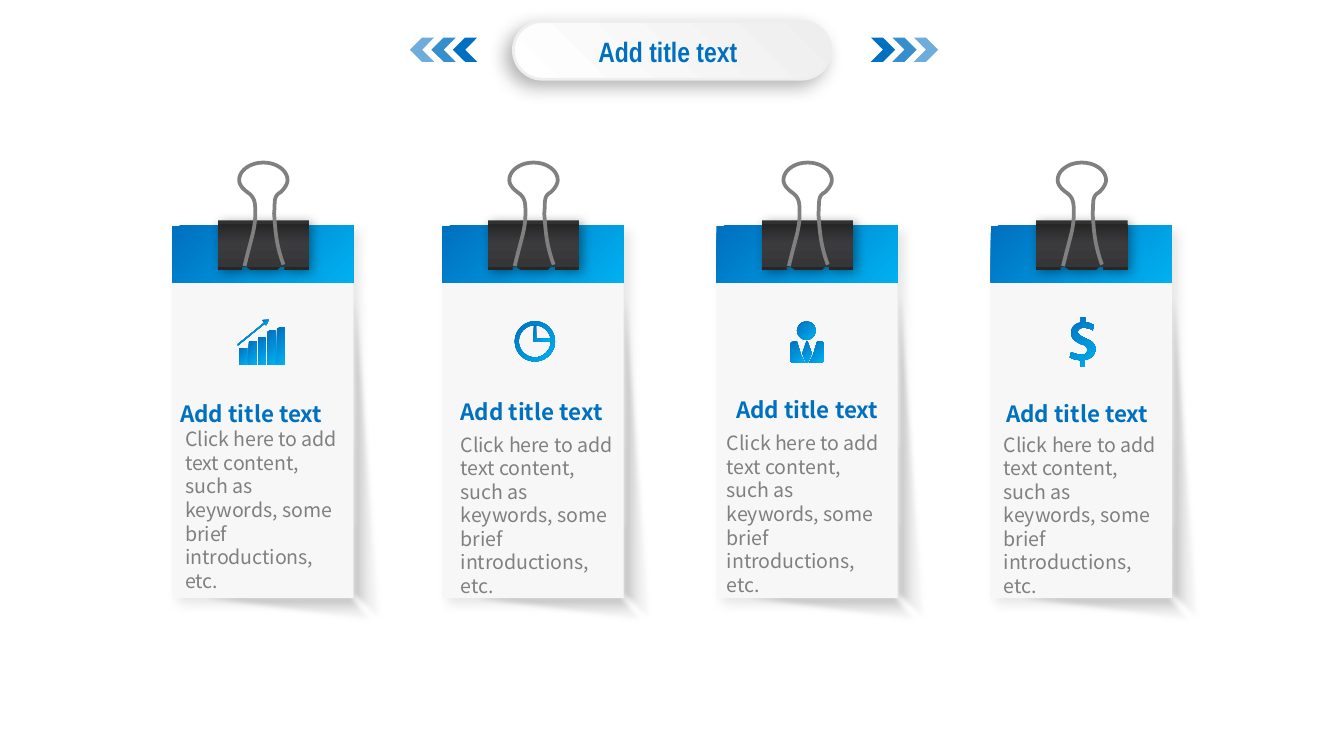
import dataclasses

import pptx
import pptx.dml.color
import pptx.enum.shapes
import pptx.enum.text
import pptx.oxml
import pptx.oxml.ns
import pptx.util

Inches = pptx.util.Inches
Pt = pptx.util.Pt
MSO = pptx.enum.shapes.MSO_SHAPE
ALIGN = pptx.enum.text.PP_ALIGN


@dataclasses.dataclass(frozen=True)
class Theme:
    blue: str = "0070C0"
    gray: str = "808080"
    paper: str = "F7F7F7"
    rim: str = "EEEEEE"
    title_font: str = "Arial Narrow"
    card_font: str = "Noto Sans CJK SC"
    title_size: float = 15
    heading_size: float = 12
    body_size: float = 10.5
    # Gradient stops: position, colour, opacity
    accent: tuple = ((0, "0070C0", 100), (100, "00B0F0", 100))
    pill: tuple = ((0, "EEEEEE", 100), (100, "FFFFFF", 100))
    cast: tuple = ((0, "F3F3F3", 12), (100, "808080", 44))
    clip: tuple = ((7, "313132", 100), (7, "262626", 100), (46, "3B3B3D", 100),
                   (93, "363638", 100), (93, "262626", 100))


@dataclasses.dataclass(frozen=True)
class Box:
    left: float
    top: float
    width: float = 0
    height: float = 0

    def inner(self, x, y, width=0, height=0):
        return Box(self.left + x, self.top + y, width, height)

    def emu(self):
        return [Inches(v) for v in (self.left, self.top, self.width, self.height)]


THEME = Theme()
BODY = "Click here to add text content, such as keywords, some brief introductions, etc."

# Outlines in inches: a pair is a corner, six numbers are a Bezier curve
CLIP = [(0, 0), (.68, 0), (.68, .37), (.5, .37), (.5, .34), (.47, .34), (.44, .37),
        (.25, .37), (.21, .34), (.18, .34), (.18, .37), (0, .37)]
WIRE = [(.04, .77), (.09, .56, .12, .5, .12, .38), (.12, .3, .12, .26, .06, .22),
        (.02, .19, 0, .16, 0, .13), (0, .06, .08, 0, .18, 0), (.28, 0, .36, .06, .36, .13),
        (.36, .16, .34, .19, .31, .22), (.25, .25, .27, .3, .26, .38),
        (.27, .49, .27, .6, .33, .76)]
DOLLAR = [(.08, .37), (.08, .32), (.05, .32, .02, .31, 0, .3), (.01, .26),
          (.03, .27, .06, .28, .09, .28), (.11, .28, .13, .27, .13, .25),
          (.13, .22, .12, .21, .08, .2), (.04, .18, .01, .16, .01, .12),
          (.01, .08, .03, .05, .08, .04), (.08, 0), (.12, 0), (.12, .04),
          (.15, .04, .16, .05, .18, .06), (.17, .1), (.16, .09, .14, .08, .1, .08),
          (.07, .08, .06, .1, .06, .11), (.06, .13, .08, .14, .12, .16),
          (.17, .18, .19, .2, .19, .24), (.19, .28, .16, .31, .11, .32), (.11, .37)]
HANDS = [(.02, .1), (.02, 0), (0, 0), (0, .12), (.12, .12), (.12, .1)]
TIE = [(.03, .16), (0, .09), (.03, 0), (.04, 0), (.07, .09), (.04, .16)]
JACKET = [(.08, 0), (.06, 0), (.03, .1), (0, .16), (.08, .16),
          (.1, .16, .11, .15, .11, .14), (.11, .02), (.11, .01, .1, 0, .08, 0)]


def paint(shape, stops, angle=0):
    """Fill with one stop as a solid colour, or with several as a gradient."""
    colors = [f'<a:srgbClr val="{c}"><a:alpha val="{a * 1000}"/></a:srgbClr>'
              for _, c, a in stops]
    ns = pptx.oxml.ns.nsdecls("a")
    if len(stops) == 1:
        xml = f"<a:solidFill {ns}>{colors[0]}</a:solidFill>"
    else:
        marks = "".join(f'<a:gs pos="{s[0] * 1000}">{c}</a:gs>' for s, c in zip(stops, colors))
        xml = (f'<a:gradFill {ns} rotWithShape="1"><a:gsLst>{marks}</a:gsLst>'
               f'<a:lin ang="{angle * 60000}" scaled="0"/></a:gradFill>')
    shape.fill.background()
    props = shape._element.spPr
    props.replace(props.find(pptx.oxml.ns.qn("a:noFill")), pptx.oxml.parse_xml(xml))


def add_effect(shape, xml):
    effects = shape._element.spPr.find(pptx.oxml.ns.qn("a:effectLst"))
    effects.append(pptx.oxml.parse_xml(xml))


def add_shadow(shape, opacity, blur, distance, angle):
    add_effect(shape, f'<a:outerShdw {pptx.oxml.ns.nsdecls("a")} blurRad="{blur * 12700}" '
               f'dist="{distance * 12700}" dir="{angle * 60000}" algn="ctr" rotWithShape="0">'
               f'<a:srgbClr val="000000"><a:alpha val="{opacity * 1000}"/></a:srgbClr>'
               '</a:outerShdw>')


def add_preset(shapes, kind, box, stops, angle=0):
    shape = shapes.add_shape(kind, *box.emu())
    shape.shadow.inherit = False
    shape.line.fill.background()
    paint(shape, stops, angle)
    return shape


def add_outline(shapes, box, steps, stops=None, angle=0, mirror=None):
    """Draw an outline from the box corner; mirror is the width to flip across."""
    points = [steps[0]]
    for step in steps[1:]:
        if len(step) == 2:
            points.append(step)
            continue
        curve = (points[-1], step[:2], step[2:4], step[4:])
        for t in (i / 10 for i in range(1, 11)):
            weights = ((1 - t) ** 3, 3 * t * (1 - t) ** 2, 3 * t * t * (1 - t), t ** 3)
            points.append(tuple(sum(w * p[k] for w, p in zip(weights, curve)) for k in (0, 1)))
    if mirror:
        points = [(mirror - x, y) for x, y in points]
    places = [(Inches(box.left + x), Inches(box.top + y)) for x, y in points]
    builder = shapes.build_freeform(*places[0])
    builder.add_line_segments(places[1:], close=stops is not None)
    shape = builder.convert_to_shape()
    shape.shadow.inherit = False
    shape.line.fill.background()
    if stops:
        paint(shape, stops, angle)
    else:
        shape.fill.background()
    return shape


def write(holder, text, font, size, color, bold=False, align=ALIGN.LEFT, inset=(.1, .05),
          leading=None):
    frame = holder.text_frame
    frame.word_wrap = True
    frame.auto_size = pptx.enum.text.MSO_AUTO_SIZE.SHAPE_TO_FIT_TEXT
    frame.vertical_anchor = pptx.enum.text.MSO_ANCHOR.TOP
    frame.margin_left = frame.margin_right = Inches(inset[0])
    frame.margin_top = frame.margin_bottom = Inches(inset[1])
    frame.text = text
    line = frame.paragraphs[0]
    line.alignment = align
    if leading:
        line.line_spacing = Pt(leading)
    line.font.name, line.font.size, line.font.bold = font, Pt(size), bold
    line.font.color.rgb = pptx.dml.color.RGBColor.from_string(color)


def set_line(shape, color, width):
    shape.line.color.rgb = pptx.dml.color.RGBColor.from_string(color)
    shape.line.width = Pt(width)


def add_chevrons(slide, box, direction):
    group = slide.shapes.add_group_shape().shapes
    for i, opacity in enumerate((100, 79, 57)):
        place = box.inner(direction * i * .16, 0, box.width, box.height)
        chevron = add_preset(group, MSO.CHEVRON, place, [(0, THEME.blue, opacity)])
        chevron.rotation = 0 if direction > 0 else 180


def add_header(slide, box):
    pill = add_preset(slide.shapes, MSO.ROUNDED_RECTANGLE, box, THEME.pill, 135)
    pill.adjustments[0] = .5
    set_line(pill, THEME.rim, 1.5)
    add_shadow(pill, 30, 10, 5, 135)
    add_chevrons(slide, box.inner(2.66, .12, .18, .18), 1)
    add_chevrons(slide, box.inner(-.45, .12, .18, .18), -1)
    title = slide.shapes.title
    title.left, title.top, title.width, title.height = box.inner(.29, .07, 1.72, .31).emu()
    write(title, "Add title text", THEME.title_font, THEME.title_size, THEME.blue,
          bold=True, align=ALIGN.CENTER, inset=(.06, .03))
    pill._element.addnext(title._element)  # title sits in front of the pill


def add_card(slide, box, heading_box, body_box):
    group = slide.shapes.add_group_shape().shapes
    # Cast shadows on the right and below
    right = [(1.33, 2.77), (1.58, 3.02), (1.34, -.33)]
    below = [(1.36, 2.74), (1.58, 2.98), (-.28, 2.74)]
    for wedge, angle in ((right, 180), (below, 270)):
        cast = add_outline(group, box, wedge, THEME.cast, angle)
        add_effect(cast, f'<a:softEdge {pptx.oxml.ns.nsdecls("a")} rad="31750"/>')
    # Paper and band
    paper = add_preset(group, MSO.RECTANGLE, box, [(0, THEME.paper, 100)])
    add_shadow(paper, 10, 6, 4, 45)
    add_preset(group, MSO.RECTANGLE, box.inner(0, 0, box.width, .42), THEME.accent, 45)
    # Binder clip
    clip = add_outline(group, box.inner(.34, -.04), CLIP, THEME.clip, 90)
    add_shadow(clip, 40, 6, 2, 45)
    set_line(add_outline(group, box.inner(.5, -.47), WIRE), THEME.gray, 2)
    # Words
    write(group.add_textbox(*heading_box.emu()), "Add title text", THEME.card_font,
          THEME.heading_size, THEME.blue, bold=True, align=ALIGN.CENTER, leading=14.4)
    write(group.add_textbox(*body_box.emu()), BODY, THEME.card_font,
          THEME.body_size, THEME.gray, leading=12.6)


def add_growth_icon(shapes, box):
    for i, height in enumerate((.12, .17, .2, .25, .27)):
        bar = box.inner(.01 + i * .07, .33 - height, .06, height)
        add_preset(shapes, MSO.RECTANGLE, bar, THEME.accent, 45)
    add_outline(shapes, box, [(0, .18), (.21, .01), (.21, .02), (0, .19)], THEME.accent, 45)
    add_outline(shapes, box, [(.18, 0), (.23, 0), (.21, .04)], THEME.accent, 45)


def add_clock_icon(shapes, box):
    ring = add_preset(shapes, MSO.DONUT, box.inner(0, 0, .3, .3), THEME.accent, 45)
    ring.adjustments[0] = .1
    add_outline(shapes, box.inner(.14, .03), HANDS, THEME.accent, 45)


def add_person_icon(shapes, box):
    add_outline(shapes, box.inner(.08, .15), TIE, THEME.accent, 45)
    add_preset(shapes, MSO.OVAL, box.inner(.04, 0, .14, .14), THEME.accent, 45)
    add_outline(shapes, box.inner(.13, .15), JACKET, THEME.accent, 45)
    add_outline(shapes, box.inner(0, .15), JACKET, THEME.accent, 45, mirror=.1)


def add_dollar_icon(shapes, box):
    add_outline(shapes, box, DOLLAR, THEME.accent, 45)


def main():
    deck = pptx.Presentation()
    deck.slide_width = Inches(10)
    deck.slide_height = deck.slide_width * 9 // 16
    slide = deck.slides.add_slide(deck.slide_layouts[5])
    add_header(slide, Box(3.82, .16, 2.36, .43))
    # Card left, heading box, body box, icon and its corner on the card
    cards = [
        (1.28, Box(1.13, 2.93, 1.48, .3), Box(1.28, 3.13, 1.36, 1.34), add_growth_icon, (.49, .7)),
        (3.29, Box(3.28, 2.91, 1.35, .3), Box(3.33, 3.17, 1.36, 1.34), add_clock_icon, (.54, .71)),
        (5.33, Box(5.33, 2.9, 1.35, .3), Box(5.31, 3.16, 1.34, 1.34), add_person_icon, (.56, .71)),
        (7.37, Box(7.34, 2.93, 1.35, .3), Box(7.37, 3.17, 1.36, 1.34), add_dollar_icon, (.59, .68)),
    ]
    for left, heading_box, body_box, add_icon, corner in cards:
        card = Box(left, 1.68, 1.35, 2.77)
        add_card(slide, card, heading_box, body_box)
        add_icon(slide.shapes.add_group_shape().shapes, card.inner(*corner))
    deck.save("out.pptx")


if __name__ == "__main__":
    main()
